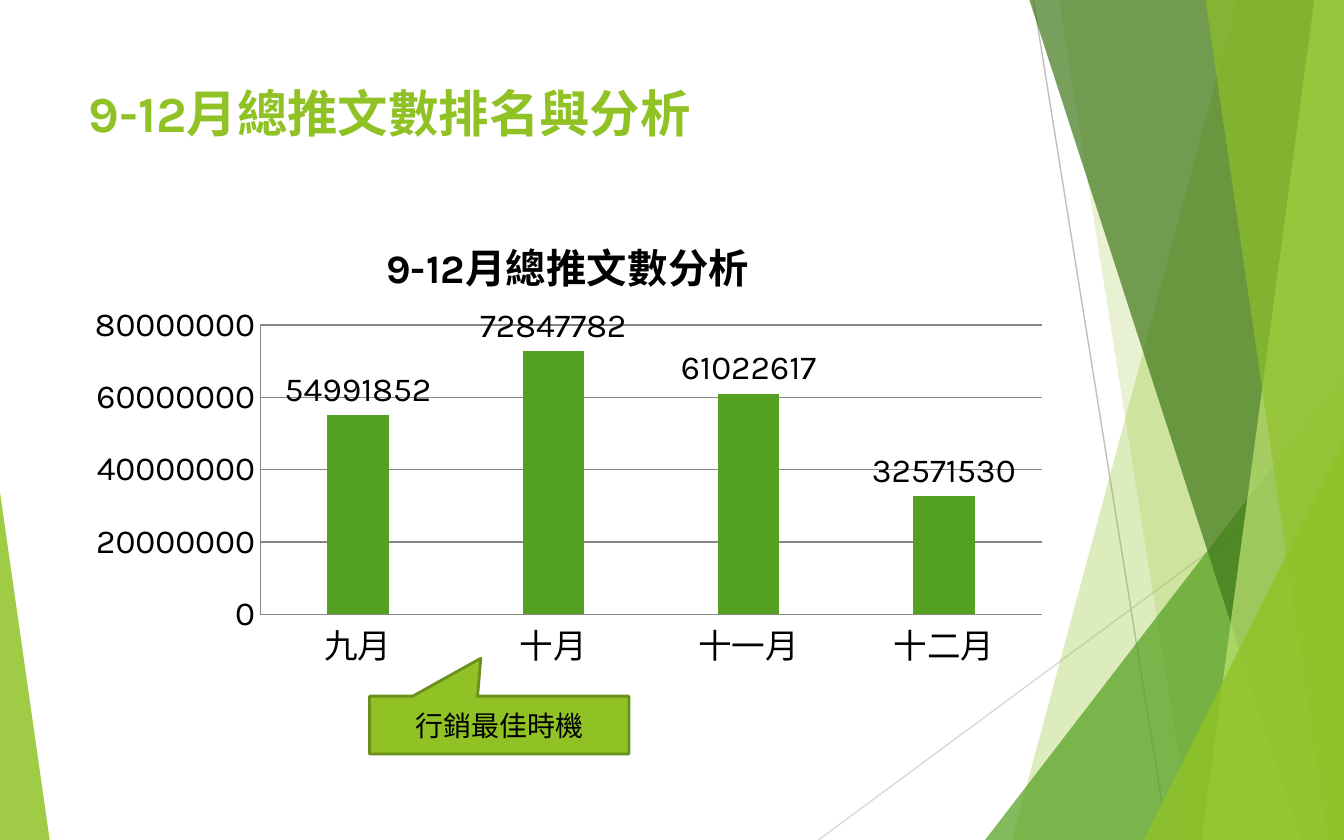
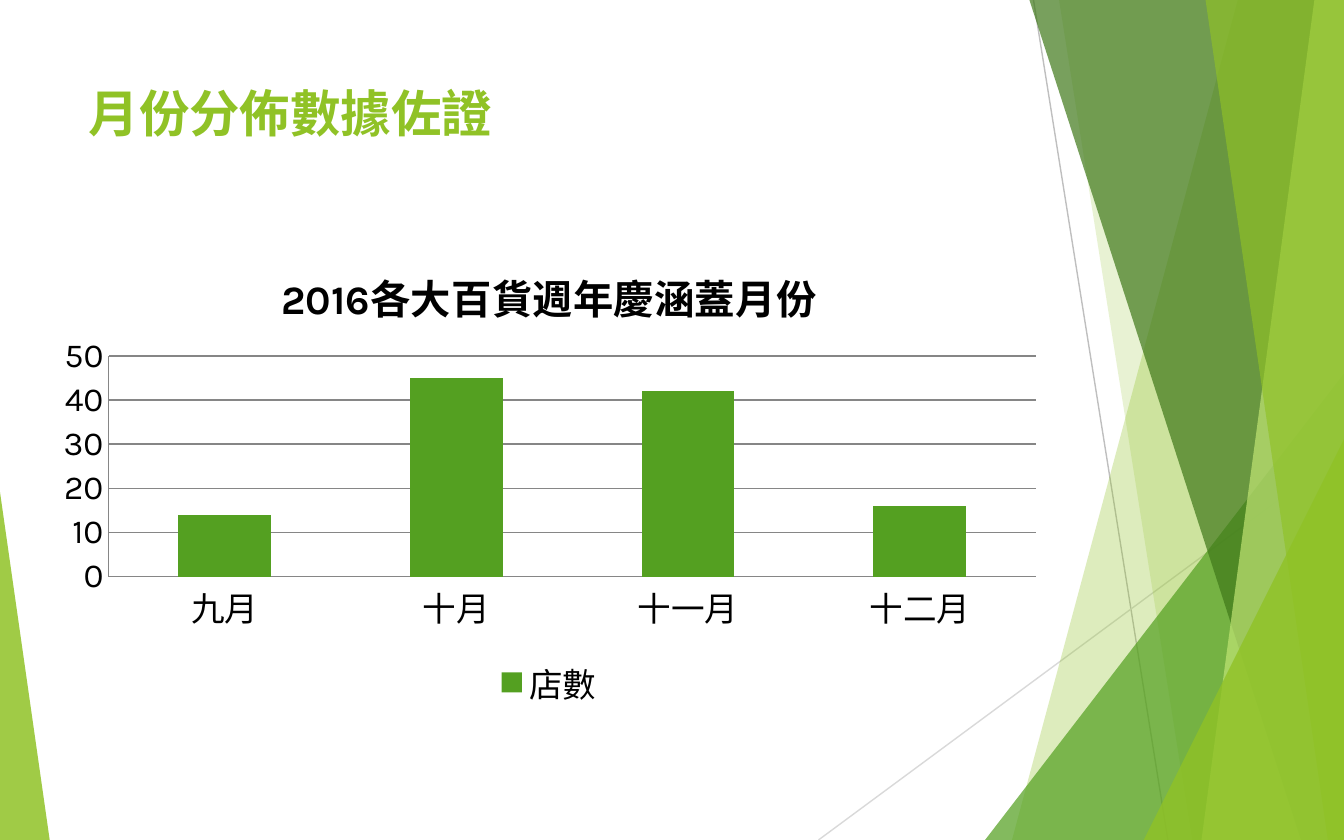
"""Build two slides on monthly push counts and department store anniversary sales."""
from lxml.etree import SubElement
from pptx import Presentation
from pptx.chart.data import CategoryChartData
from pptx.dml.color import RGBColor
from pptx.enum.chart import XL_CHART_TYPE, XL_LABEL_POSITION, XL_LEGEND_POSITION, XL_TICK_MARK
from pptx.enum.shapes import MSO_CONNECTOR, MSO_SHAPE
from pptx.enum.text import MSO_ANCHOR, MSO_AUTO_SIZE, PP_ALIGN
from pptx.oxml import parse_xml
from pptx.oxml.ns import nsdecls, qn
from pptx.util import Inches, Pt

LIME, GREEN, FOREST, PALE = "90C226", "54A021", "3F7819", "C0E474"
BLACK, GREY, OLIVE = "000000", "868686", "6B901C"
FONT = "Karla"
WIDTH, HEIGHT = 10, 6.25
MONTHS = ["九月", "十月", "十一月", "十二月"]


def paint(fill, color):
    fill.solid()
    fill.fore_color.rgb = RGBColor.from_string(color)


def apply(target, values):
    for name, value in values.items():
        setattr(target, name, value)


prs = Presentation()
apply(prs, {"slide_width": Inches(WIDTH), "slide_height": Inches(HEIGHT)})
layout = prs.slide_layouts.get_by_name("Title Only")
apply(layout.placeholders[0], {"left": Inches(0.56), "top": Inches(0.56),
                               "width": Inches(7.05), "height": Inches(1.2)})
push_slide = prs.slides.add_slide(layout)

decor = []
for x1, y1, x2, y2, color in [(7.69, 0, 8.69, HEIGHT, "BFBFBF"),
                              (WIDTH, 3.36, 6.09, HEIGHT, "D9D9D9")]:
    ray = push_slide.shapes.add_connector(
        MSO_CONNECTOR.STRAIGHT, Inches(x1), Inches(y1), Inches(x2), Inches(y2))
    paint(ray.line.fill, color)
    ray.line.width = Pt(0.75)
    SubElement(ray.element.spPr, qn("a:effectLst"))
    decor.append(ray)

slant, wedge = "slant", "wedge"
for kind, geometry, color, alpha in [
    (slant, (9.21, 7.53), LIME, 30),
    (slant, (7.88, 8.87), LIME, 20),
    (wedge, (7.33, 2.78, 2.67, 1), GREEN, 72),
    (slant, (7.66, 9.68), FOREST, 70),
    (slant, (9.78, 8.94), PALE, 70),
    (slant, (8.97, 9.88), LIME, 65),
    (wedge, (8.51, 3.27, 1.49, 1), LIME, 80),
    (wedge, (0, 3.66, 0.37, 0), LIME, 85),
]:
    if kind == slant:
        top_x, bottom_x = geometry
        outline = push_slide.shapes.build_freeform(Inches(top_x), 0)
        outline.add_line_segments([(Inches(x), Inches(y)) for x, y in
                                   [(WIDTH, 0), (WIDTH, HEIGHT), (bottom_x, HEIGHT)]])
        band = outline.convert_to_shape()
    else:
        left, top, width, apex = geometry
        band = push_slide.shapes.add_shape(
            MSO_SHAPE.ISOSCELES_TRIANGLE, Inches(left), Inches(top),
            Inches(width), Inches(HEIGHT - top))
        band.adjustments[0] = apex
    paint(band.fill, color)
    tint = band.element.spPr.find(qn("a:solidFill"))[0]
    SubElement(tint, qn("a:alpha")).set("val", str(alpha * 1000))
    band.line.fill.background()
    band.shadow.inherit = False
    decor.append(band)

for index, piece in enumerate(decor):
    piece.element.xpath(".//p:cNvPr")[0].set("id", str(20 + index))
    layout.shapes.element.insert(2 + index, piece.element)

pages = [
    {"slide": push_slide, "heading": "9-12月總推文數排名與分析",
     "caption": "9-12月總推文數分析", "series": "Series 1",
     "counts": [54991852, 72847782, 61022617, 32571530],
     "box": (0.56, 1.54, 7.33, 3.51), "plot": (0.188, 0.25, 0.793, 0.614),
     "top": 80000000, "step": 20000000, "gap": 219, "overlap": -27, "labels": True},
    {"slide": prs.slides.add_slide(layout), "heading": "月份分佈數據佐證",
     "caption": "2016各大百貨週年慶涵蓋月份", "series": "店數",
     "counts": [14, 45, 42, 16],
     "box": (0.32, 1.77, 7.53, 3.54), "plot": (0.065, 0.248, 0.916, 0.464),
     "top": 50, "step": 10, "gap": 150, "overlap": 0, "labels": False},
]

for page in pages:
    slide = page["slide"]
    heading = slide.shapes.title.text_frame
    heading.text = page["heading"]
    apply(heading, {"vertical_anchor": MSO_ANCHOR.TOP, "auto_size": MSO_AUTO_SIZE.NONE,
                    "word_wrap": True})
    heading.paragraphs[0].alignment = PP_ALIGN.LEFT
    heading_font = heading.paragraphs[0].runs[0].font
    apply(heading_font, {"name": FONT, "size": Pt(27), "bold": True})
    paint(heading_font.fill, LIME)

    data = CategoryChartData()
    data.categories = MONTHS
    data.add_series(page["series"], page["counts"])
    chart = slide.shapes.add_chart(XL_CHART_TYPE.COLUMN_CLUSTERED,
                                   *map(Inches, page["box"]), data).chart
    apply(chart.font, {"name": FONT, "size": Pt(18)})
    paint(chart.font.fill, BLACK)

    caption = chart.chart_title.text_frame
    caption.text = page["caption"]
    caption_font = caption.paragraphs[0].runs[0].font
    apply(caption_font, {"name": FONT, "size": Pt(21.6), "bold": True})
    paint(caption_font.fill, BLACK)

    for axis in (chart.category_axis, chart.value_axis):
        apply(axis, {"major_tick_mark": XL_TICK_MARK.NONE,
                     "minor_tick_mark": XL_TICK_MARK.NONE})
        paint(axis.format.line.fill, GREY)
    apply(chart.value_axis, {"minimum_scale": 0, "maximum_scale": page["top"],
                             "major_unit": page["step"], "has_major_gridlines": True})
    paint(chart.value_axis.major_gridlines.format.line.fill, GREY)

    columns = chart.plots[0]
    apply(columns, {"gap_width": page["gap"], "overlap": page["overlap"],
                    "vary_by_categories": False, "has_data_labels": page["labels"]})
    paint(columns.series[0].format.fill, GREEN)
    if page["labels"]:
        apply(columns.data_labels, {"show_value": True,
                                    "position": XL_LABEL_POSITION.OUTSIDE_END})
        apply(columns.data_labels.font, {"name": FONT, "size": Pt(18)})
    chart.has_legend = not page["labels"]
    if chart.has_legend:
        apply(chart.legend, {"position": XL_LEGEND_POSITION.BOTTOM,
                             "include_in_layout": False})

    plot_area = chart.element.xpath(".//c:plotArea")[0]
    for automatic in plot_area.findall(qn("c:layout")):
        plot_area.remove(automatic)
    settings = [("layoutTarget", "inner"), ("xMode", "edge"), ("yMode", "edge"),
                *zip("xywh", page["plot"])]
    inner = "".join(f'<c:{tag} val="{value}"/>' for tag, value in settings)
    plot_area.insert(0, parse_xml(
        f'<c:layout {nsdecls("c")}><c:manualLayout>{inner}</c:manualLayout></c:layout>'))

best_time = push_slide.shapes.add_shape(
    MSO_SHAPE.RECTANGULAR_CALLOUT, Inches(2.75), Inches(5.18), Inches(1.93), Inches(0.43))
best_time.adjustments[0], best_time.adjustments[1] = -0.071, -1.156
paint(best_time.fill, LIME)
paint(best_time.line.fill, OLIVE)
best_time.line.width = Pt(1.5)
best_time.shadow.inherit = False
message = best_time.text_frame
message.text = "行銷最佳時機"
apply(message, {"word_wrap": True, "vertical_anchor": MSO_ANCHOR.MIDDLE})
message.paragraphs[0].alignment = PP_ALIGN.CENTER
message_font = message.paragraphs[0].runs[0].font
apply(message_font, {"name": FONT, "size": Pt(15)})
paint(message_font.fill, BLACK)

prs.save("out.pptx")
